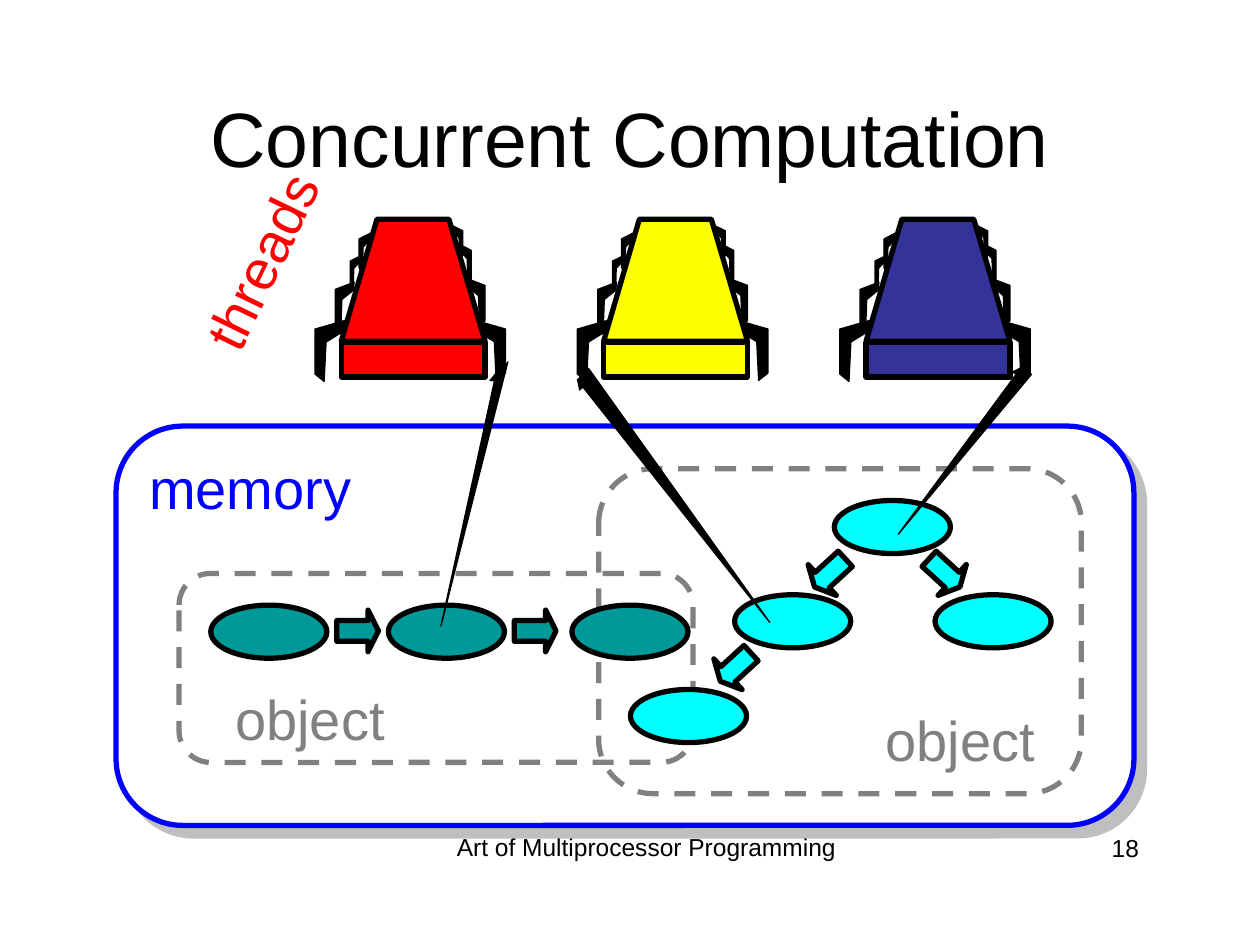
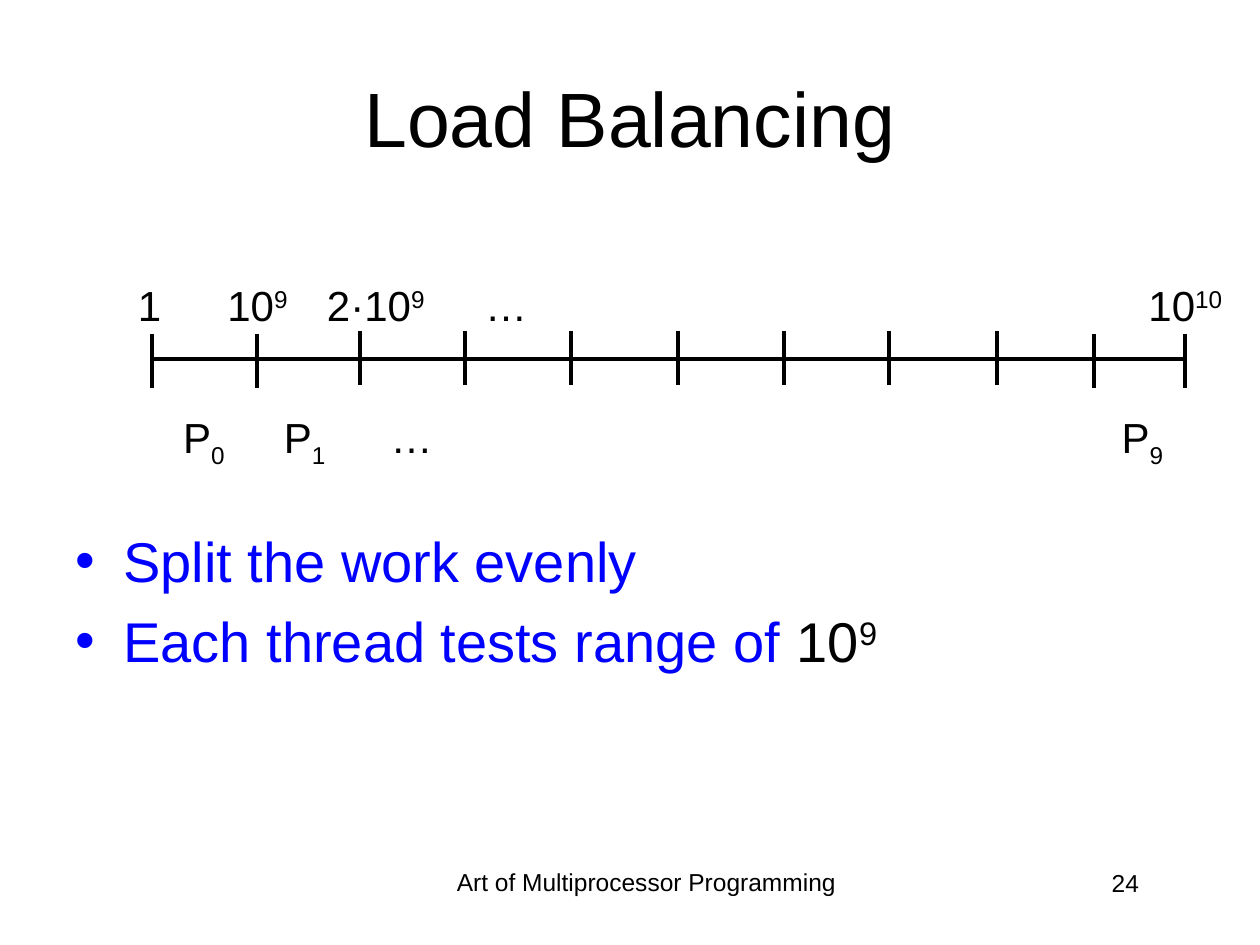
from dataclasses import dataclass

from lxml.etree import SubElement
from pptx import Presentation
from pptx.dml.color import RGBColor
from pptx.enum.dml import MSO_LINE
from pptx.enum.shapes import MSO_CONNECTOR, MSO_SHAPE
from pptx.enum.text import MSO_ANCHOR, PP_ALIGN
from pptx.oxml.ns import qn
from pptx.util import Cm, Pt


class Theme:
    font = "Arial"
    black = RGBColor(0, 0, 0)
    white = RGBColor(255, 255, 255)
    blue = RGBColor(0, 0, 255)
    red = RGBColor(255, 0, 0)
    yellow = RGBColor(255, 255, 0)
    navy = RGBColor(0x33, 0x33, 0x99)
    teal = RGBColor(0, 0x99, 0x99)
    cyan = RGBColor(0, 255, 255)
    gray = RGBColor(0x80, 0x80, 0x80)
    title, large, medium, small = Pt(44), Pt(32), Pt(24), Pt(14)
    thick, rule, thin = Pt(3), Pt(2.25), Pt(0.75)


@dataclass
class Box:
    """A rectangle in centimetres."""
    x: float
    y: float
    w: float
    h: float

    def inner(self, x, y, w, h):
        """Return a box placed relative to this one."""
        return Box(self.x + x, self.y + y, w, h)

    def size(self):
        return Cm(self.x), Cm(self.y), Cm(self.w), Cm(self.h)


NODE = (2.34, 1.07)
ARROW = (0.84, 0.84)
# Outline of a leg bending to the right, as shares of its box.
LEG = [(0, 0), (1, 0.15), (1, 0.88), (0.71, 1), (0.65, 0.36), (0.05, 0.17)]
RIGHT_LEGS = [(3.2, 2.03, 0.64, 1.22), (3.05, 1.19, 0.38, 0.97),
              (2.92, 0.51, 0.23, 0.79), (2.77, 0.13, 0.21, 0.69)]
LEFT_LEGS = [(0, 2.03, 0.64, 1.24), (0.41, 1.27, 0.38, 0.97),
             (0.89, 0.28, 0.23, 0.79), (0.71, 0.74, 0.21, 0.69)]
TICKS = [0, 2.11, 4.19, 6.3, 8.44, 10.6, 12.73, 14.86, 17.02, 18.98, 20.81]


def add_run(para, text, size, color, base=0):
    """Add one run; base raises or lowers it by a percentage."""
    run = para.add_run()
    run.text = text
    font = run.font
    font.name, font.size = Theme.font, size
    font.color.rgb = color
    if base:
        run._r.get_or_add_rPr().set("baseline", str(base * 1000))


def add_text(slide, box, runs, size, color=Theme.black,
             align=PP_ALIGN.RIGHT, wrap=False, anchor=MSO_ANCHOR.TOP):
    """Add a line of text; runs holds (text, base) pairs."""
    shape = slide.shapes.add_textbox(*box.size())
    frame = shape.text_frame
    frame.word_wrap = wrap
    frame.vertical_anchor = anchor
    para = frame.paragraphs[0]
    para.alignment = align
    for text, base in runs:
        add_run(para, text, size, color, base)
    return shape


def paint(shape, fill, line, width):
    shape.shadow.inherit = False
    if fill is None:
        shape.fill.background()
    else:
        shape.fill.solid()
        shape.fill.fore_color.rgb = fill
    shape.line.color.rgb = line
    shape.line.width = width
    return shape


def add_shape(slide, kind, box, fill, line=Theme.black):
    shape = slide.shapes.add_shape(kind, *box.size())
    return paint(shape, fill, line, Theme.thick)


def add_round(slide, box, fill, line):
    shape = add_shape(slide, MSO_SHAPE.ROUNDED_RECTANGLE, box, fill, line)
    shape.adjustments[0] = 0.167
    return shape


def add_outline(slide, points, fill, width, close=True):
    points = [(Cm(x), Cm(y)) for x, y in points]
    draft = slide.shapes.build_freeform(*points[0])
    draft.add_line_segments(points[1:], close=close)
    return paint(draft.convert_to_shape(), fill, Theme.black, width)


def add_line(slide, start, end):
    points = [Cm(n) for n in start + end]
    line = slide.shapes.add_connector(MSO_CONNECTOR.STRAIGHT, *points)
    line.line.color.rgb = Theme.black
    line.line.width = Theme.rule
    SubElement(line._element.spPr, qn("a:effectLst"))


def add_title(slide, box, text):
    add_text(slide, box, [(text, 0)], Theme.title, align=PP_ALIGN.CENTER,
             wrap=True, anchor=MSO_ANCHOR.MIDDLE)


def add_footer(slide, box, number):
    add_text(slide, box.inner(0, 0, 8.69, 1.32),
             [("Art of Multiprocessor Programming", 0)], Theme.small,
             align=PP_ALIGN.CENTER, wrap=True)
    add_text(slide, box.inner(9.24, 0.02, 5.28, 1.27), [(number, 0)],
             Theme.small, wrap=True)


def add_thread(slide, box, color):
    for legs, mirror in ((RIGHT_LEGS, False), (LEFT_LEGS, True)):
        for leg in legs:
            spot = box.inner(*leg)
            points = [(spot.x + spot.w * (1 - x if mirror else x),
                       spot.y + spot.h * y) for x, y in LEG]
            add_outline(slide, points, Theme.black, Theme.thin)
    body = [(0.53, 2.46), (1.25, 0), (2.7, 0), (3.43, 2.46)]
    add_outline(slide, [(box.x + x, box.y + y) for x, y in body],
                color, Theme.thick)
    add_shape(slide, MSO_SHAPE.RECTANGLE, box.inner(0.53, 2.49, 2.9, 0.69),
              color)


def add_object(slide, box, label):
    """Draw the dashed frame of an object and its label."""
    frame = add_round(slide, box, None, Theme.gray)
    frame.line.dash_style = MSO_LINE.DASH
    add_text(slide, box.inner(*label, 3.56, 1.63), [("object", 0)],
             Theme.large, Theme.gray)


def add_graph(slide, box, color, nodes, arrows):
    """Draw nodes at (x, y) and arrows at (x, y, turn)."""
    for node in nodes:
        add_shape(slide, MSO_SHAPE.OVAL, box.inner(*node, *NODE), color)
    for x, y, turn in arrows:
        arrow = add_shape(slide, MSO_SHAPE.RIGHT_ARROW,
                          box.inner(x, y, *ARROW), color)
        arrow.adjustments[0], arrow.adjustments[1] = 0.5, 0.25
        arrow.rotation = turn


def add_memory(slide, box):
    panel = add_round(slide, box, Theme.white, Theme.blue)
    effects = panel._element.spPr.find(qn("a:effectLst"))
    shade = SubElement(effects, qn("a:outerShdw"), blurRad="0",
                       dist=str(Pt(8.5)), dir="2700000", algn="ctr",
                       rotWithShape="0")
    tone = SubElement(shade, qn("a:srgbClr"), val=str(Theme.gray))
    SubElement(tone, qn("a:alpha"), val="50000")
    add_text(slide, box.inner(0.4, 0.43, 4.6, 1.6), [("memory", 0)],
             Theme.large, Theme.blue)

    chain = box.inner(1.27, 2.97, 10.36, 3.81)
    tree = box.inner(9.73, 0.86, 9.73, 6.55)
    add_object(slide, chain, (0.84, 2.11))
    add_object(slide, tree, (5.49, 4.65))
    add_graph(slide, chain, Theme.teal,
              [(x, 0.64) for x in (0.64, 4.22, 7.92)],
              [(x, 0.74, 0) for x in (3.18, 6.76)])
    add_graph(slide, tree, Theme.cyan,
              [(6.78, 2.54), (4.75, 0.64), (2.74, 2.54), (0.64, 4.45)],
              [(6.55, 1.68, 42.5), (4.24, 1.68, 137.5),
               (2.34, 3.58, 137.5)])


def add_pointer(slide, points):
    shape = add_outline(slide, points, Theme.black, Theme.thin, close=False)
    SubElement(shape.line._get_or_add_ln(), qn("a:tailEnd"), type="triangle")


def add_scale(slide, box):
    """Draw the number line with its labels above and below."""
    axis = box.y + 1.73
    add_line(slide, (box.x, axis), (box.x + box.w, axis))
    for i, tick in enumerate(TICKS):
        top = box.y + (1.17 if 2 <= i <= 8 else 1.22)
        add_line(slide, (box.x + tick, top), (box.x + tick, top + 1.09))

    above = [(-0.56, 0.99, [("1", 0)]),
             (1.2, 1.78, [("10", 0), ("9", 30)]),
             (3.2, 2.54, [("2·10", 0), ("9", 30)]),
             (6.46, 1.35, [("…", 0)]),
             (19.71, 2.11, [("10", 0), ("10", 30)])]
    below = [(0.31, 1.4, [("P", 0), ("0", -25)]),
             (2.34, 1.4, [("P", 0), ("1", -25)]),
             (4.55, 1.35, [("…", 0)]),
             (19.23, 1.4, [("P", 0), ("9", -25)])]
    for y, labels in ((0, above), (2.67, below)):
        for x, w, runs in labels:
            add_text(slide, box.inner(x, y, w, 1.3), runs, Theme.medium)


def add_points(slide, box, points):
    """Write bulleted points; each is a list of (text, color, base)."""
    frame = slide.shapes.add_textbox(*box.size()).text_frame
    frame.word_wrap = True
    for i, runs in enumerate(points):
        para = frame.add_paragraph() if i else frame.paragraphs[0]
        props = para._p.get_or_add_pPr()
        props.set("marL", str(Cm(0.97)))
        props.set("indent", str(-Cm(0.97)))
        SubElement(props, qn("a:buFont"), typeface=Theme.font)
        SubElement(props, qn("a:buChar"), char="•")
        if i:
            para.space_before = Pt(7.4)
        for text, color, base in runs:
            add_run(para, text, Theme.large, color, base)


def draw_threads(slide):
    add_footer(slide, Box(8.69, 16.64, 14.52, 1.32), "18")
    add_memory(slide, Box(2.34, 8.59, 20.52, 8.05))
    add_title(slide, Box(1.91, 1.17, 21.59, 3.18), "Concurrent Computation")
    for i, color in enumerate((Theme.red, Theme.yellow, Theme.navy)):
        add_thread(slide, Box(6.35 + 5.29 * i, 4.42, 3.84, 3.28), color)
    for points in ([(10.24, 7.29), (8.89, 12.62), (10.01, 7.49)],
                   [(11.86, 7.42), (15.52, 12.55), (11.63, 7.65)],
                   [(20.8, 7.54), (18.11, 10.77), (20.6, 7.39)]):
        add_pointer(slide, points)
    label = add_text(slide, Box(3.12, 4.45, 4.29, 1.63), [("threads", 0)],
                     Theme.large, Theme.red)
    label.rotation = 295.9


def draw_balance(slide):
    add_footer(slide, Box(8.69, 17.35, 14.52, 1.32), "24")
    add_title(slide, Box(1.27, 0.76, 22.86, 3.18), "Load Balancing")
    add_points(slide, Box(1.27, 10.48, 22.86, 4.35), [
        [("Split the work evenly", Theme.blue, 0)],
        [("Each thread tests range of ", Theme.blue, 0),
         ("10", Theme.black, 0), ("9", Theme.black, 30)]])
    add_scale(slide, Box(3.07, 5.51, 20.8, 4))


def main():
    deck = Presentation()
    deck.slide_width, deck.slide_height = Cm(25.4), Cm(19.05)
    for draw in (draw_threads, draw_balance):
        draw(deck.slides.add_slide(deck.slide_layouts[6]))
    deck.save("out.pptx")


if __name__ == "__main__":
    main()
